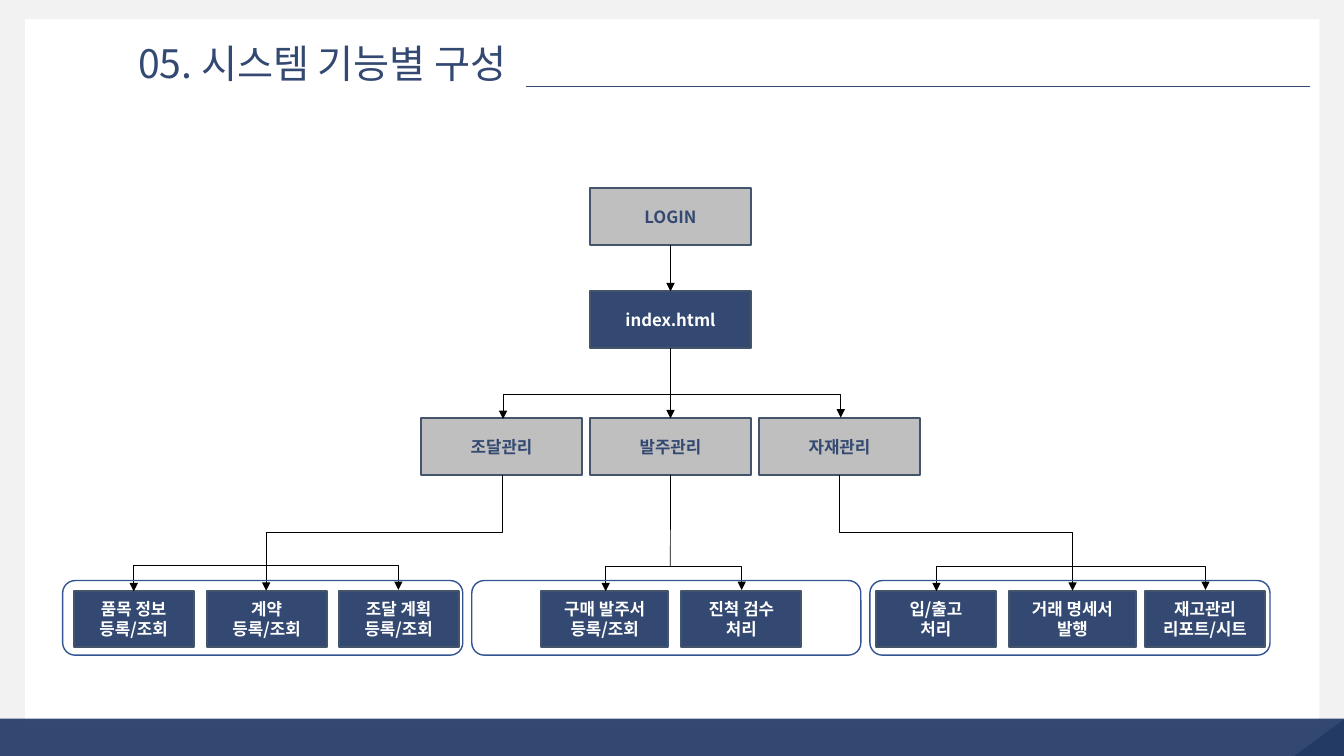
from lxml.etree import SubElement
from pptx import Presentation
from pptx.dml.color import RGBColor
from pptx.enum.shapes import MSO_CONNECTOR as CONNECTOR, MSO_SHAPE as SHAPE
from pptx.enum.text import MSO_ANCHOR as ANCHOR, PP_ALIGN as ALIGN
from pptx.oxml.ns import qn
from pptx.util import Pt

FONT = "Noto Sans CJK KR"
NAVY, GRAY, WHITE, BLACK = "334971", "BFBFBF", "FFFFFF", "000000"
BOX_WIDTH, BOX_HEIGHT = 114.5, 40.3
MENU_LEFT, MENU_STEP, MENU_TOP = 301, 120.7, 298.8
LEAF_TOP, GROUP_TOP, GROUP_HEIGHT = 421.9, 414.7, 53.3
CENTER = 478.8
NARROW, WIDE = 85.7, 90.7
MENUS = ["조달관리", "발주관리", "자재관리"]
LEAVES = [
    (52.6, NARROW, ["품목 정보", "등록/조회"]),
    (147.6, NARROW, ["계약", "등록/조회"]),
    (241.9, NARROW, ["조달 계획", "등록/조회"]),
    (386.6, WIDE, ["구매 발주서 등록/조회"]),
    (486.7, NARROW, ["진척 검수", "처리"]),
    (625.7, NARROW, ["입/출고", "처리"]),
    (720.7, WIDE, ["거래 명세서", "발행"]),
    (817.9, NARROW, ["재고관리", "리포트/시트"]),
]
GROUPS = [(44.8, 285.8), (337, 277.9), (621.4, 285.8)]
BRANCHES = [(358.6, 190.1), (599.8, 766.1)]
FORKS = [
    (95.6, 284.6, LEAF_TOP, 404),
    (668.9, 861.1, LEAF_TOP, 404.4),
    (359.3, 600.5, MENU_TOP, 281.6),
    (432.6, 529.8, LEAF_TOP, 404.4),
]


def color(value):
    """Turn a hex string into a colour."""
    return RGBColor.from_string(value)


def style_paragraph(paragraph, size, font_color, bold=False, align=ALIGN.CENTER):
    """Format a whole paragraph in the slide's typeface."""
    paragraph.alignment = align
    font = paragraph.font
    font.size, font.bold, font.name = Pt(size), bold, FONT
    font.color.rgb = color(font_color)
    properties = paragraph._p.pPr.find(qn("a:defRPr"))
    SubElement(properties, qn("a:ea")).set("typeface", FONT)


def add_block(slide, kind, left, top, width, height, fill=None, line=None, weight=1):
    """Add a flat preset shape with optional fill and outline."""
    shape = slide.shapes.add_shape(kind, Pt(left), Pt(top), Pt(width), Pt(height))
    shape.shadow.inherit = False
    if fill:
        shape.fill.solid()
        shape.fill.fore_color.rgb = color(fill)
    else:
        shape.fill.background()
    if line:
        shape.line.color.rgb = color(line)
        shape.line.width = Pt(weight)
    else:
        shape.line.fill.background()
    return shape


def add_box(slide, left, top, width, lines, fill):
    """Add a labelled box of the chart, one paragraph a line."""
    box = add_block(slide, SHAPE.RECTANGLE, left, top, width, BOX_HEIGHT, fill, "44546A", 1.5)
    frame = box.text_frame
    frame.word_wrap = True
    frame.vertical_anchor = ANCHOR.MIDDLE
    frame.text = "\n".join(lines)
    for paragraph in frame.paragraphs:
        style_paragraph(paragraph, 12, NAVY if fill == GRAY else WHITE, True)
    return box


def add_line(slide, start, end, line_color=BLACK, weight=0.5, arrows=(), kind=CONNECTOR.STRAIGHT):
    """Add a connector with arrowheads at the named ends."""
    points = [Pt(value) for value in (*start, *end)]
    connector = slide.shapes.add_connector(kind, *points)
    connector.line.color.rgb = color(line_color)
    connector.line.width = Pt(weight)
    outline = connector.line._get_or_add_ln()
    for arrow in arrows:
        SubElement(outline, qn(f"a:{arrow}")).set("type", "triangle")
    SubElement(connector.element.spPr, qn("a:effectLst"))
    return connector


def add_elbow(slide, start, end, bend, arrows):
    """Add a vertical-horizontal-vertical connector that turns at height bend."""
    connector = add_line(slide, start, end, arrows=arrows, kind=CONNECTOR.ELBOW)
    (x1, y1), (x2, y2) = start, end
    length, breadth = abs(y2 - y1), abs(x2 - x1)
    connector.left = Pt((x1 + x2 - length) / 2)
    connector.top = Pt((y1 + y2 - breadth) / 2)
    connector.width, connector.height = Pt(length), Pt(breadth)
    rotation, flips = {
        (False, True): (90, ""),
        (True, True): (270, "H"),
        (True, False): (90, "HV"),
    }[x2 > x1, y2 > y1]
    transform = connector.element.spPr.find(qn("a:xfrm"))
    transform.set("rot", str(rotation * 60000))
    for axis in "HV":
        transform.set(f"flip{axis}", str(int(axis in flips)))
    geometry = connector.element.spPr.find(qn("a:prstGeom"))
    guide = SubElement(geometry.find(qn("a:avLst")), qn("a:gd"))
    guide.set("name", "adj1")
    guide.set("fmla", f"val {round((bend - y1) / (y2 - y1) * 100000)}")


def add_title(slide, text):
    """Fill the title placeholder and lift it above the white page."""
    title = slide.shapes.title
    title.left, title.top, title.width, title.height = Pt(91.4), Pt(24.5), Pt(298), Pt(41)
    frame = title.text_frame
    frame.text = text
    frame.word_wrap = False
    frame.vertical_anchor = ANCHOR.TOP
    style_paragraph(frame.paragraphs[0], 28, NAVY, align=ALIGN.LEFT)
    title.element.getparent().append(title.element)


def add_backdrop(slide):
    """Draw the page, its corner and its title rule."""
    slide.background.fill.solid()
    slide.background.fill.fore_color.rgb = color("F2F2F2")
    corner = add_block(slide, SHAPE.RIGHT_TRIANGLE, 928.8, 509, 26.6, 36, "445569")
    corner.rotation = 270
    add_block(slide, SHAPE.RECTANGLE, 18, 13.7, 924.5, 504.7, WHITE)
    add_line(slide, (375.8, 61.9), (936, 61.9), NAVY, 1)


def add_footer_band(slide):
    """Draw the translucent band along the bottom."""
    band = add_block(slide, SHAPE.RECTANGLE, 0, 513.4, 960, 31.7, "203864")
    fill = band.element.spPr.find(qn("a:solidFill"))
    SubElement(fill[0], qn("a:alpha")).set("val", "91000")


def add_chart_tree(slide):
    """Draw the boxes of the system and the lines between them."""
    login = add_box(slide, 421.7, 134.6, BOX_WIDTH, ["LOGIN"], GRAY)
    index = add_box(slide, 421.7, 208.1, BOX_WIDTH, ["index.html"], NAVY)
    menus = [
        add_box(slide, MENU_LEFT + number * MENU_STEP, MENU_TOP, BOX_WIDTH, [name], GRAY)
        for number, name in enumerate(MENUS)
    ]
    for left, width, lines in LEAVES:
        add_box(slide, left, LEAF_TOP, width, lines, NAVY)
    for upper, lower, weight in ((login, index, 0.75), (index, menus[1], 0.5)):
        arrow = add_line(slide, (CENTER, 175), (CENTER, 208), weight=weight, arrows=["tailEnd"])
        arrow.begin_connect(upper, 2)
        arrow.end_connect(lower, 0)
    menu_bottom = MENU_TOP + BOX_HEIGHT
    for start, end in BRANCHES:
        add_elbow(slide, (start, menu_bottom), (end, LEAF_TOP), 380.5, ["tailEnd"])
    for left, right, top, bend in FORKS:
        add_elbow(slide, (left, top + 0.5), (right, top - 0.5), bend, ["headEnd", "tailEnd"])
    stem = add_line(slide, (CENTER, menu_bottom), (CENTER, 404.4))
    stem.begin_connect(menus[1], 2)
    for left, width in GROUPS:
        add_block(slide, SHAPE.ROUNDED_RECTANGLE, left, GROUP_TOP, width, GROUP_HEIGHT, line="325491")


def main():
    """Build and save the slide."""
    presentation = Presentation()
    presentation.slide_width, presentation.slide_height = Pt(960), Pt(540)
    slide = presentation.slides.add_slide(presentation.slide_layouts[5])
    add_backdrop(slide)
    add_title(slide, "05. 시스템 기능별 구성")
    add_chart_tree(slide)
    add_footer_band(slide)
    presentation.save("out.pptx")


if __name__ == "__main__":
    main()
